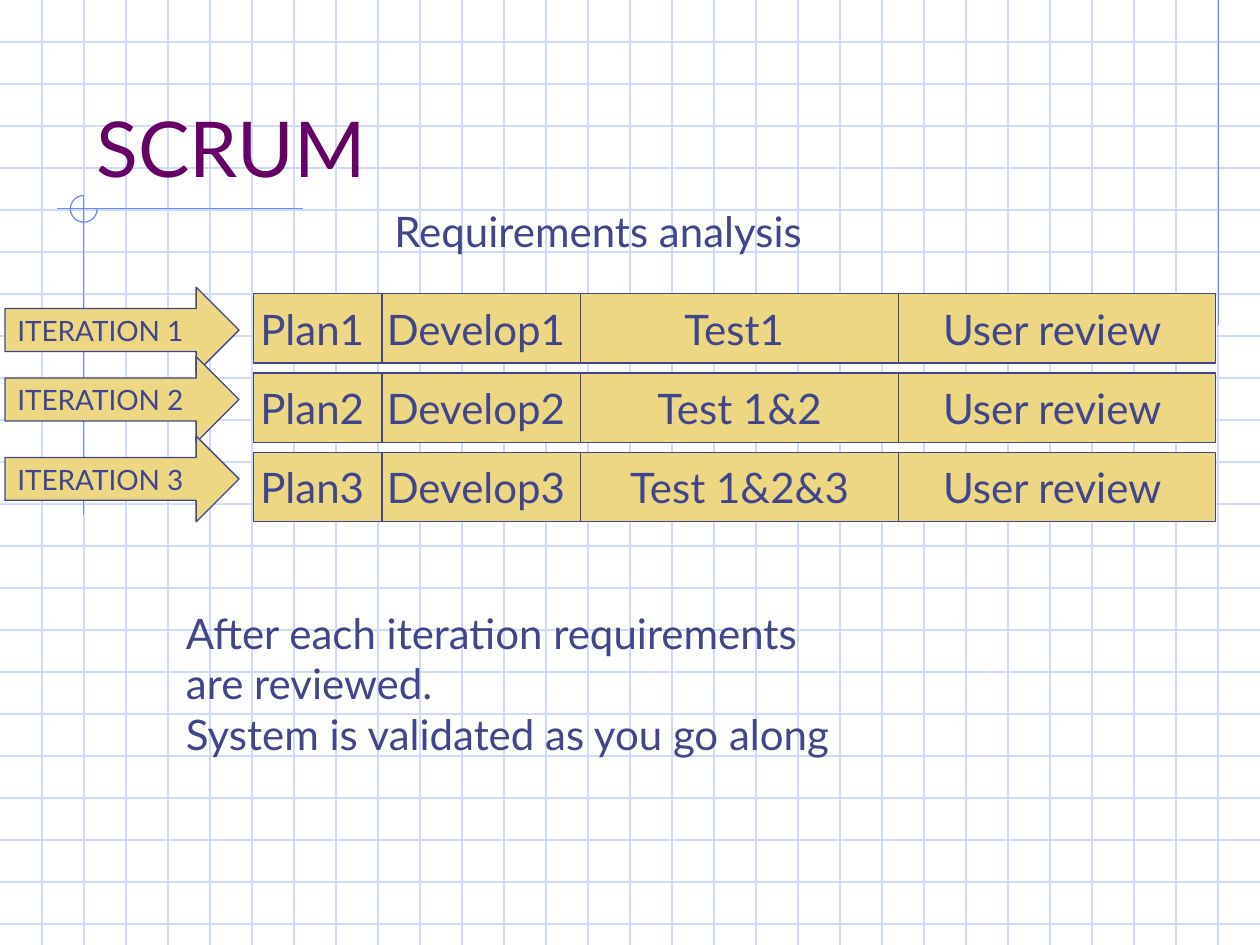
from itertools import accumulate
from lxml.etree import SubElement
from pptx import Presentation
from pptx.dml.color import RGBColor
from pptx.enum.shapes import MSO_CONNECTOR as Connector, MSO_SHAPE as Preset
from pptx.enum.text import MSO_ANCHOR as Anchor, PP_ALIGN as Align
from pptx.oxml.ns import qn
from pptx.util import Cm, Pt

TITLE = "SCRUM"
HEADING = "Requirements analysis"
NOTES = ["After each iteration requirements", "are reviewed.",
         "System is validated as you go along"]
# Each iteration: arrow label, arrow top in cm, phases
ITERATIONS = [
    ("ITERATION 1", 5.79, ("Plan1 ", "Develop1 ", "Test1 ", "User review ")),
    ("ITERATION 2", 7.19, ("Plan2 ", "Develop2 ", "Test 1&2", "User review ")),
    ("ITERATION 3", 8.79, ("Plan3 ", "Develop3 ", "Test 1&2&3", "User review ")),
]

FONT = "Lato"
PURPLE = RGBColor(0x66, 0x00, 0x66)
INDIGO = RGBColor(0x40, 0x45, 0x8C)
SAND = RGBColor(0xEC, 0xD8, 0x82)
GRID_BLUE = RGBColor(0xCF, 0xDB, 0xFD)
RULE_BLUE = RGBColor(0x6F, 0x89, 0xF7)
LINE_WIDTH = Pt(0.74)

WIDTH, HEIGHT = 25.4, 19.05
GRID_STEP = WIDTH / 30
PHASE_WIDTHS = (2.59, 4.01, 6.4, 6.4)
PHASE_LEFTS = list(accumulate(PHASE_WIDTHS, initial=5.11))[:-1]
ROW_TOP, ROW_STEP, ROW_HEIGHT = 5.92, 1.6, 1.4
RULES = [(24.56, 0, 24.56, 6.55), (6.1, 4.2, 1.14, 4.2), (1.69, 3.94, 1.69, 10.39)]


def add_line(slide, ends, color):
    """Draw a thin straight line; ends are x1, y1, x2, y2 in cm."""
    line = slide.shapes.add_connector(Connector.STRAIGHT, *map(Cm, ends))
    line.line.color.rgb = color
    line.line.width = LINE_WIDTH
    SubElement(line._element.spPr, qn("a:effectLst"))


def add_shape(slide, preset, area, line_color):
    """Add an unfilled, shadowless preset shape; area is in cm."""
    shape = slide.shapes.add_shape(preset, *map(Cm, area))
    shape.shadow.inherit = False
    shape.fill.background()
    shape.line.color.rgb = line_color
    shape.line.width = LINE_WIDTH
    return shape


def write(shape, text, size, color=INDIGO, align=Align.LEFT, anchor=Anchor.TOP, wrap=True):
    """Fill a shape with text in one uniform style."""
    frame = shape.text_frame
    frame.text = text
    frame.word_wrap = wrap
    frame.vertical_anchor = anchor
    for para in frame.paragraphs:
        para.alignment = align
        for span in para.runs:
            span.font.name = FONT
            span.font.size = Pt(size)
            span.font.color.rgb = color


def add_background(slide):
    """Draw the squared paper, the rules and the open circle."""
    for step in range(1, 23):
        y = step * GRID_STEP
        add_line(slide, (0, y, WIDTH, y), GRID_BLUE)
    for step in range(1, 30):
        x = step * GRID_STEP
        add_line(slide, (x, 0, x, HEIGHT), GRID_BLUE)
    for ends in RULES:
        add_line(slide, ends, RULE_BLUE)
    circle = add_shape(slide, Preset.ARC, (1.42, 3.94, 0.54, 0.54), RULE_BLUE)
    circle.adjustments[0] = 0
    circle.adjustments[1] = 162


def add_title(slide):
    """Format the title placeholder and bring it above the background."""
    title = slide.shapes.title
    title.left, title.top, title.width, title.height = map(Cm, (1.69, 0.84, 21.59, 3.18))
    write(title, TITLE, 44, PURPLE, anchor=Anchor.BOTTOM)
    slide.shapes._spTree.append(title._element)


def add_iterations(slide):
    """Draw one row of phase boxes and one arrow for each iteration."""
    for row, (label, arrow_top, phases) in enumerate(ITERATIONS):
        top = ROW_TOP + row * ROW_STEP
        for left, width, phase in zip(PHASE_LEFTS, PHASE_WIDTHS, phases):
            box = add_shape(slide, Preset.RECTANGLE, (left, top, width, ROW_HEIGHT), INDIGO)
            box.fill.solid()
            box.fill.fore_color.rgb = SAND
            write(box, phase, 24, align=Align.CENTER, anchor=Anchor.MIDDLE, wrap=False)
        arrow = add_shape(slide, Preset.RIGHT_ARROW, (0.1, arrow_top, 4.72, 1.73), INDIGO)
        arrow.fill.solid()
        arrow.fill.fore_color.rgb = SAND
        write(arrow, label, 16, anchor=Anchor.MIDDLE)


def add_text(slide, text, area):
    """Add a wrapped text box; area is in cm."""
    write(slide.shapes.add_textbox(*map(Cm, area)), text, 24)


deck = Presentation()
deck.slide_width, deck.slide_height = Cm(WIDTH), Cm(HEIGHT)
page = deck.slides.add_slide(deck.slide_layouts[5])
add_background(page)
add_title(page)
add_iterations(page)
add_text(page, "\n".join(NOTES), (3.5, 12.12, 14.4, 4.32))
add_text(page, HEADING, (7.7, 4.01, 9.2, 2.29))
deck.save("out.pptx")
